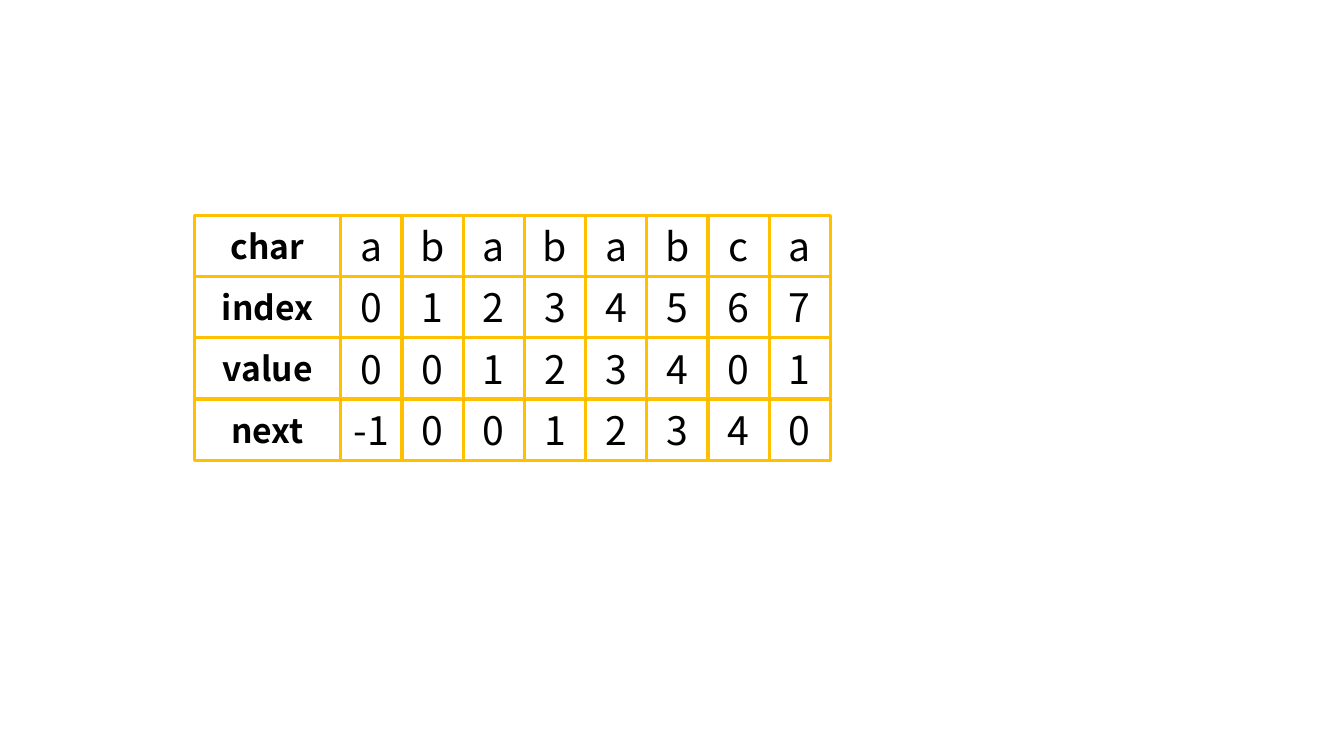
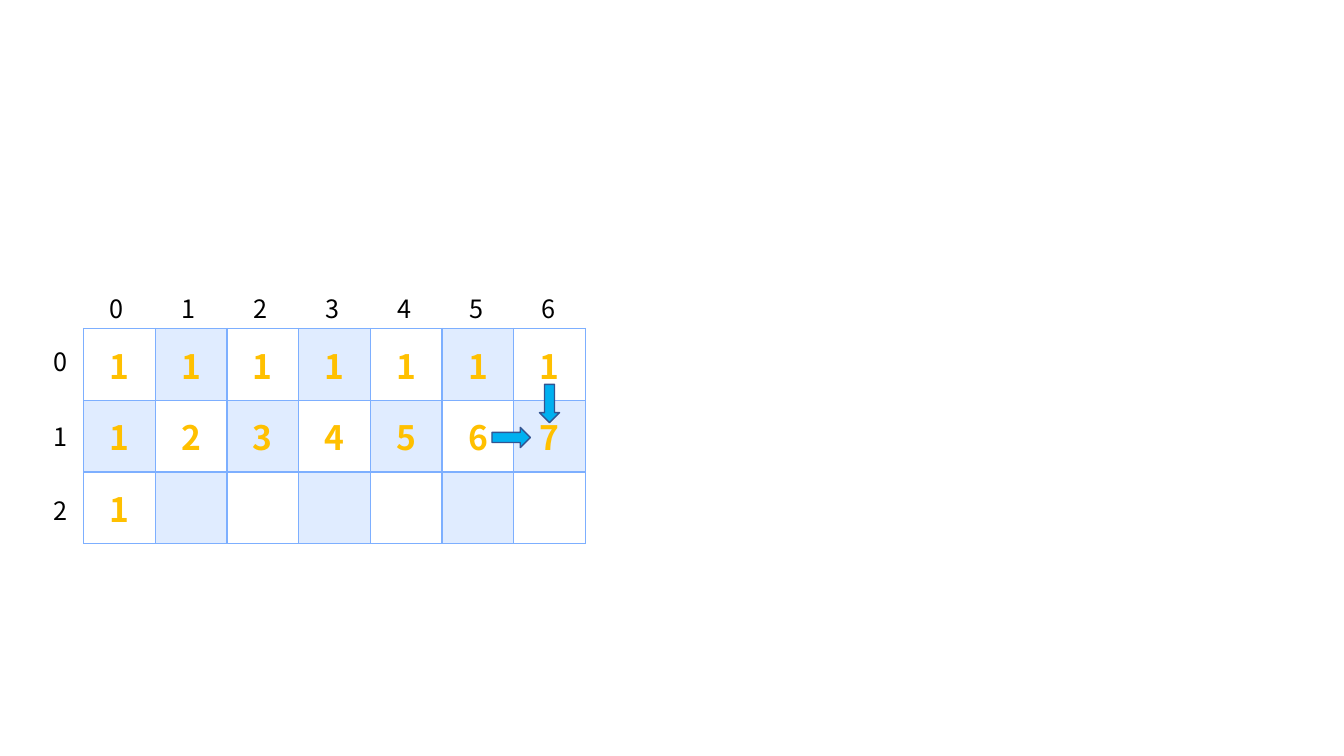
import dataclasses
import typing

import lxml.etree
import pptx
import pptx.dml.color
import pptx.enum.shapes
import pptx.enum.text
import pptx.oxml.ns
import pptx.util

Pt = pptx.util.Pt
RECT = pptx.enum.shapes.MSO_SHAPE.RECTANGLE
ARROW = pptx.enum.shapes.MSO_SHAPE.RIGHT_ARROW
MIDDLE = pptx.enum.text.MSO_ANCHOR.MIDDLE
CENTER = pptx.enum.text.PP_ALIGN.CENTER

# Shared look
FONT = "Noto Sans CJK SC"
COLORS = {
    "text": "000000",
    "gold": "FFC000",
    "white": "FFFFFF",
    "pale": "E0ECFF",
    "border": "7DAFFF",
    "arrow": "00B0F0",
    "arrow_line": "325491",
}


@dataclasses.dataclass(frozen=True)
class Row:
    label: str
    values: tuple[str, ...]


@dataclasses.dataclass(frozen=True)
class Arrow:
    left: float
    top: float
    rotation: float = 0


# Content
KMP_ROWS = (
    Row("char", tuple("abababca")),
    Row("index", tuple("01234567")),
    Row("value", tuple("00123401")),
    Row("next", ("-1", *"0012340")),
)
PATH_COUNTS = ("1111111", "1234567", "1")
ARROWS = (Arrow(351.4, 305.3), Arrow(378.8, 281, 90))


def rgb(name: str) -> pptx.dml.color.RGBColor:
    return pptx.dml.color.RGBColor.from_string(COLORS[name])


def write(tf: typing.Any, text: str, size: float, color: str = "text",
          bold: bool = False, centered: bool = True) -> None:
    p = tf.paragraphs[0]
    p.text = text
    p.font.name = FONT
    p.font.size = Pt(size)
    p.font.bold = bold
    p.font.color.rgb = rgb(color)
    if centered:
        p.alignment = CENTER


def add_box(s: typing.Any, left: float, top: float, width: float, height: float,
            text: str, size: float, bold: bool = False) -> None:
    sp = s.shapes.add_shape(RECT, Pt(left), Pt(top), Pt(width), Pt(height))
    sp.shadow.inherit = False
    sp.fill.background()
    sp.line.color.rgb = rgb("gold")
    sp.line.width = Pt(2.25)
    sp.text_frame.vertical_anchor = MIDDLE
    write(sp.text_frame, text, size, bold=bold)


def add_label(s: typing.Any, left: float, top: float, text: str) -> None:
    tf = s.shapes.add_textbox(Pt(left), Pt(top), Pt(24), Pt(29)).text_frame
    tf.word_wrap = False
    tf.auto_size = pptx.enum.text.MSO_AUTO_SIZE.SHAPE_TO_FIT_TEXT
    write(tf, text, 18, centered=False)


def set_borders(cell: typing.Any, color: str, width: float) -> None:
    tc_pr = cell._tc.get_or_add_tcPr()
    qn = pptx.oxml.ns.qn
    for side in ("a:lnL", "a:lnR", "a:lnT", "a:lnB"):
        ln = lxml.etree.SubElement(tc_pr, qn(side), w=str(int(Pt(width))))
        fill = lxml.etree.SubElement(ln, qn("a:solidFill"))
        lxml.etree.SubElement(fill, qn("a:srgbClr"), val=COLORS[color])


def add_arrow(shapes: typing.Any, arrow: Arrow) -> None:
    sp = shapes.add_shape(ARROW, Pt(arrow.left), Pt(arrow.top), Pt(27.4), Pt(14.4))
    sp.shadow.inherit = False
    sp.rotation = arrow.rotation
    sp.fill.solid()
    sp.fill.fore_color.rgb = rgb("arrow")
    sp.line.color.rgb = rgb("arrow_line")
    sp.line.width = Pt(1)


def build_next_array(s: typing.Any) -> None:
    left, top, side, label_width = 243.5, 153.9, 43.7, 104.6
    for i, row in enumerate(KMP_ROWS):
        y = top + i * side
        add_box(s, left - label_width, y, label_width, side, row.label, 24, bold=True)
        for j, value in enumerate(row.values):
            add_box(s, left + j * side, y, side, side, value, 28)


def build_path_grid(s: typing.Any) -> None:
    # Checkered table
    n_rows, n_cols, side = 3, 7, 51.2
    table = s.shapes.add_table(n_rows, n_cols, Pt(59.8), Pt(234.7),
                               Pt(n_cols * side), Pt(n_rows * side)).table
    table.first_row = table.horz_banding = False
    for line in table.columns:
        line.width = Pt(side)
    for line in table.rows:
        line.height = Pt(side)
    for i, counts in enumerate(PATH_COUNTS):
        for j, text in enumerate(counts.ljust(n_cols)):
            cell = table.cell(i, j)
            set_borders(cell, "border", 1)
            cell.fill.solid()
            cell.fill.fore_color.rgb = rgb("pale" if (i + j) % 2 else "white")
            cell.vertical_anchor = MIDDLE
            cell.margin_left = cell.margin_right = Pt(4.3)
            cell.margin_top = cell.margin_bottom = Pt(2.2)
            if text.strip():
                write(cell.text_frame, text, 24, "gold", bold=True)
    # The last row checkers by column only
    for j in range(n_cols):
        table.cell(n_rows - 1, j).fill.fore_color.rgb = rgb("pale" if j % 2 else "white")

    # Column and row numbers
    for j in range(n_cols):
        add_label(s, 71.1 + j * 51.4, 206, str(j))
    for i in range(n_rows):
        add_label(s, 31, 244 + i * 53.3, str(i))

    # Arrows into the cell being computed
    group = s.shapes.add_group_shape()
    for arrow in ARROWS:
        add_arrow(group.shapes, arrow)


def main() -> None:
    prs = pptx.Presentation()
    prs.slide_width, prs.slide_height = Pt(960), Pt(540)
    for build in (build_next_array, build_path_grid):
        build(prs.slides.add_slide(prs.slide_layouts[6]))
    prs.save("out.pptx")


if __name__ == "__main__":
    main()
